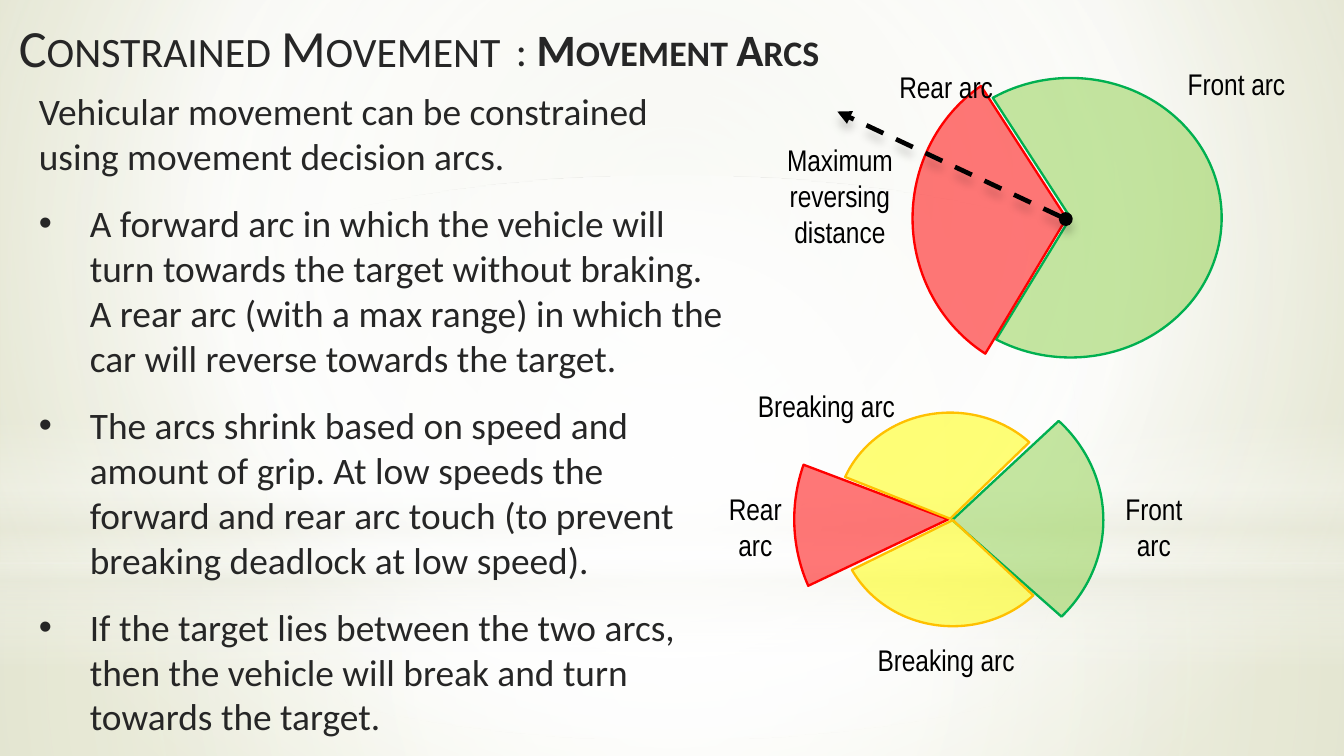
from lxml import etree
from pptx import Presentation
from pptx.dml.color import RGBColor
from pptx.enum.dml import MSO_LINE
from pptx.enum.shapes import MSO_CONNECTOR, MSO_SHAPE
from pptx.enum.text import MSO_ANCHOR, MSO_AUTO_SIZE, PP_ALIGN
from pptx.oxml.ns import qn
from pptx.util import Inches, Pt

RECTANGLE, OVAL, PIE = MSO_SHAPE.RECTANGLE, MSO_SHAPE.OVAL, MSO_SHAPE.PIE
STRAIGHT, DASH = MSO_CONNECTOR.STRAIGHT, MSO_LINE.DASH
LEFT, CENTER = PP_ALIGN.LEFT, PP_ALIGN.CENTER
TOP, MIDDLE = MSO_ANCHOR.TOP, MSO_ANCHOR.MIDDLE
NO_FIT = MSO_AUTO_SIZE.NONE

COLORS = {
    "ink": "262626", "black": "000000", "white": "FFFFFF",
    "cream": "EAEBDE", "sage": "E3E5D1", "olive": "CCD09F",
    "front": "92D050", "front_edge": "00B050",
    "rear": "FF0000", "rear_edge": "FF0000",
    "brake": "FFFF00", "brake_edge": "FFC000",
}
HEADING, LABEL = "Calibri", "Arial Narrow"
CENTERED = (50, 50, 50, 50)


def color(name):
    return RGBColor.from_string(COLORS[name])


def add_child(parent, tag, **attributes):
    child = etree.SubElement(parent, qn(tag))
    for key, value in attributes.items():
        child.set(key, str(value))
    return child


def replace_with_gradient(solid, stops, focus=None, angle=0):
    gradient = etree.Element(qn("a:gradFill"), rotWithShape="1")
    stop_list = add_child(gradient, "a:gsLst")
    for position, name, alpha in stops:
        stop = add_child(stop_list, "a:gs", pos=position * 1000)
        tint = add_child(stop, "a:srgbClr", val=COLORS[name])
        add_child(tint, "a:alpha", val=alpha * 1000)
    if focus:
        route = add_child(gradient, "a:path", path="circle")
        sides = {side: share * 1000 for side, share in zip("ltrb", focus)}
        add_child(route, "a:fillToRect", **sides)
    else:
        add_child(gradient, "a:lin", ang=angle * 60000, scaled=0)
    solid.getparent().replace(solid, gradient)


def write_text(para, text, *, font=LABEL, size=16, ink="black", bold=False, small_caps=False):
    span = para.add_run()
    span.text = text
    span.font.name = font
    span.font.size = Pt(size)
    span.font.bold = bold
    span.font.color.rgb = color(ink)
    if small_caps:
        span.font._element.set("cap", "small")


def place(shape, left, top, width, height):
    shape.left, shape.top = Inches(left), Inches(top)
    shape.width, shape.height = Inches(width), Inches(height)


def prepare_frame(shape, anchor, align):
    frame = shape.text_frame
    frame.word_wrap = True
    frame.auto_size = NO_FIT
    frame.vertical_anchor = anchor
    para = frame.paragraphs[0]
    para.alignment = align
    return para


def add_box(shapes, left, top, width, height, anchor=MIDDLE, align=CENTER):
    box = shapes.add_textbox(Inches(left), Inches(top), Inches(width), Inches(height))
    return box, prepare_frame(box, anchor, align)


def add_label(shapes, text, left, top, width=1.44, height=0.37):
    write_text(add_box(shapes, left, top, width, height)[1], text)


def add_arc(shapes, kind, left, top, width, height, start, end):
    arc = shapes.add_shape(PIE, Inches(left), Inches(top), Inches(width), Inches(height))
    arc.adjustments[0], arc.adjustments[1] = start, end
    arc.shadow.inherit = False
    arc.fill.solid()
    arc.fill.fore_color.rgb = color(kind)
    tint = arc.element.spPr.find(qn("a:solidFill"))[0]
    add_child(tint, "a:alpha", val=53000)
    arc.line.color.rgb = color(kind + "_edge")
    arc.line.width = Pt(1.25)


def add_reversing_arrow(shapes, start_x, start_y, end_x, end_y):
    arrow = shapes.add_connector(
        STRAIGHT, Inches(start_x), Inches(start_y), Inches(end_x), Inches(end_y))
    arrow.line.color.rgb = color("black")
    arrow.line.width = Pt(2.5)
    arrow.line.dash_style = DASH
    stroke = arrow.line._ln
    add_child(stroke, "a:headEnd", type="oval")
    add_child(stroke, "a:tailEnd", type="triangle")
    effects = add_child(arrow.element.spPr, "a:effectLst")
    shadow = add_child(effects, "a:outerShdw", blurRad=Pt(5), dist=Pt(4), dir=5400000, rotWithShape=0)
    add_child(add_child(shadow, "a:srgbClr", val=COLORS["black"]), "a:alpha", val=20000)


def add_backdrop(page, width):
    page.background.fill.solid()
    solid = page.element.xpath("p:cSld/p:bg//a:solidFill")[0]
    replace_with_gradient(
        solid, [(0, "sage", 100), (60, "white", 100), (100, "olive", 100)], (20, 10, 20, 60))
    layers = [
        (RECTANGLE, 4.19, 1.44, [(0, "white", 91), (37, "white", 76), (100, "cream", 79)], CENTERED),
        (RECTANGLE, 0, 4.19, [(0, "white", 89), (48, "white", 62), (100, "cream", 79)], CENTERED),
        (RECTANGLE, 3.09, 1.88, [(0, "white", 0), (29, "white", 30), (45, "cream", 40),
                                 (55, "white", 26), (65, "cream", 60), (100, "white", 0)], None),
        (OVAL, 1.31, 4.19, [(0, "white", 100), (56, "white", 0)], CENTERED),
    ]
    for preset, top, height, stops, focus in layers:
        layer = page.shapes.add_shape(preset, 0, Inches(top), Inches(width), Inches(height))
        layer.shadow.inherit = False
        layer.line.fill.background()
        layer.fill.solid()
        replace_with_gradient(layer.element.spPr.find(qn("a:solidFill")), stops, focus, 90)


def add_heading(page, left, top, width, height):
    style = {"font": HEADING, "ink": "ink", "small_caps": True}
    title = page.shapes.title
    title.element.getparent().append(title.element)
    place(title, left, top, width, height)
    write_text(prepare_frame(title, TOP, LEFT), "Constrained Movement", size=28, **style)
    para = add_box(page.shapes, left + 3.7, top, width, height, TOP, LEFT)[1]
    write_text(para, ": ", size=28, **style)
    write_text(para, "Movement Arcs", size=24, bold=True, **style)


def add_explanation(page, left, top, width, height):
    style = {"font": HEADING, "size": 20, "ink": "ink"}
    box, para = add_box(page.shapes, left, top, width, height, TOP, LEFT)
    write_text(para, "Vehicular movement can be constrained using movement decision arcs.", **style)
    points = [
        "A forward arc in which the vehicle will turn towards the target without braking. "
        "A rear arc (with a max range) in which the car will reverse towards the target.",
        "The arcs shrink based on speed and amount of grip. At low speeds the forward and "
        "rear arc touch (to prevent breaking deadlock at low speed).",
        "If the target lies between the two arcs, then the vehicle will break and turn "
        "towards the target.",
    ]
    for point in points:
        para = box.text_frame.add_paragraph()
        para.alignment = LEFT
        para.space_before = Pt(12)
        layout = para._p.get_or_add_pPr()
        layout.set("marL", str(Inches(0.38)))
        layout.set("indent", str(-Inches(0.38)))
        add_child(layout, "a:buFont", typeface="Arial")
        add_child(layout, "a:buChar", char="•")
        write_text(para, point, **style)


def add_low_speed_diagram(page, left, top):
    shapes = page.shapes.add_group_shape().shapes
    add_arc(shapes, "front", left + 1.31, top + 0.14, 2.25, 2.08, 142.24, 72.83)
    add_label(shapes, "Front arc", left + 2.95, top)
    add_arc(shapes, "rear", left + 1.26, top, 2.29, 2.37, 72.57, 142.29)
    add_label(shapes, "Maximum reversing distance", left, top + 0.56, height=0.91)
    add_reversing_arrow(shapes, left + 2.4, top + 1.19, left + 0.7, top + 0.39)
    add_label(shapes, "Rear arc", left + 0.79, top + 0.02)


def add_high_speed_diagram(page, left, top):
    shapes = page.shapes.add_group_shape().shapes
    add_arc(shapes, "front", left + 0.67, top + 0.15, 2.25, 2.08, 190.23, 24.87)
    add_arc(shapes, "rear", left + 0.62, top, 2.29, 2.37, 92.76, 120.42)
    add_label(shapes, "Front arc", left + 2.85, top + 0.92, 0.89, 0.64)
    add_label(shapes, "Rear arc", left, top + 0.92, 0.66, 0.64)
    add_arc(shapes, "brake", left + 0.93, top + 0.39, 1.7, 1.58, 121.01, 189.58)
    add_arc(shapes, "brake", left + 0.95, top + 0.4, 1.7, 1.58, 25.87, 92.24)
    add_label(shapes, "Breaking arc", left + 0.14, top + 0.15)
    add_label(shapes, "Breaking arc", left + 1.03, top + 2.04)


def main():
    deck = Presentation()
    deck.slide_width = Inches(10)
    deck.slide_height = deck.slide_width * 9 // 16
    page = deck.slides.add_slide(deck.slide_layouts[5])
    add_backdrop(page, 10)
    add_heading(page, 0.04, 0.06, 4.25, 0.63)
    add_low_speed_diagram(page, 5.53, 0.44)
    add_high_speed_diagram(page, 5.29, 2.68)
    add_explanation(page, 0.19, 0.61, 5.31, 4.98)
    deck.save("out.pptx")


if __name__ == "__main__":
    main()
